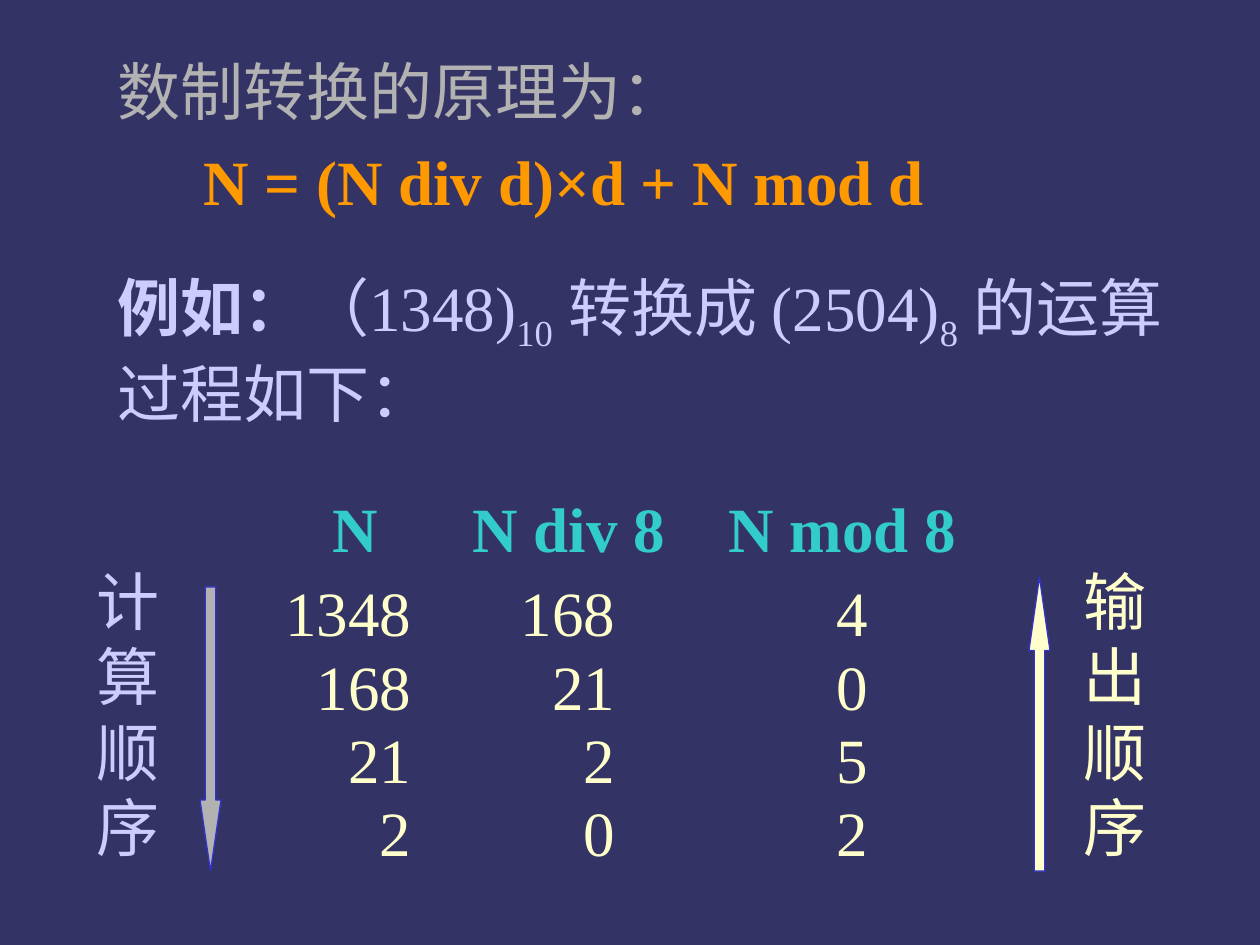
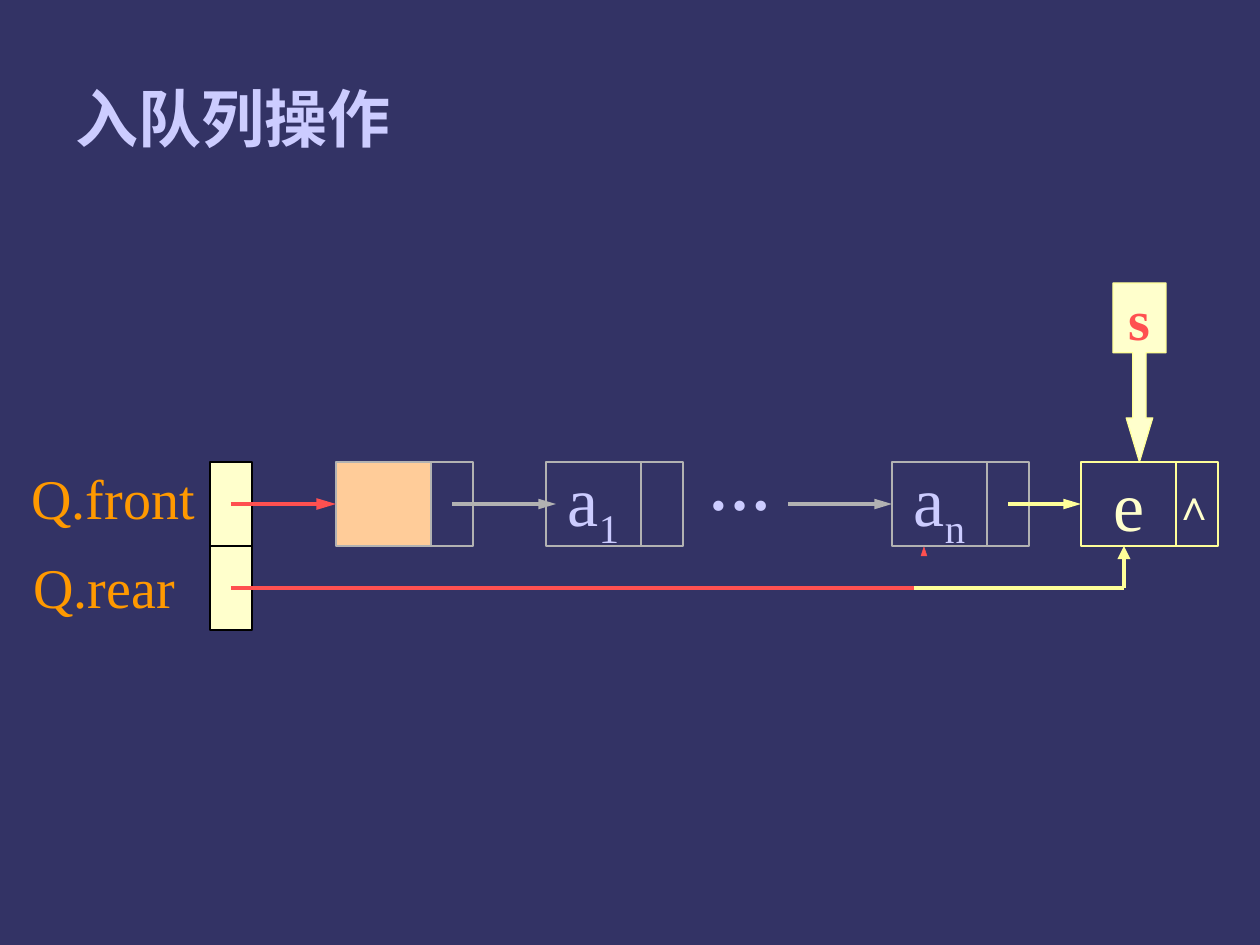
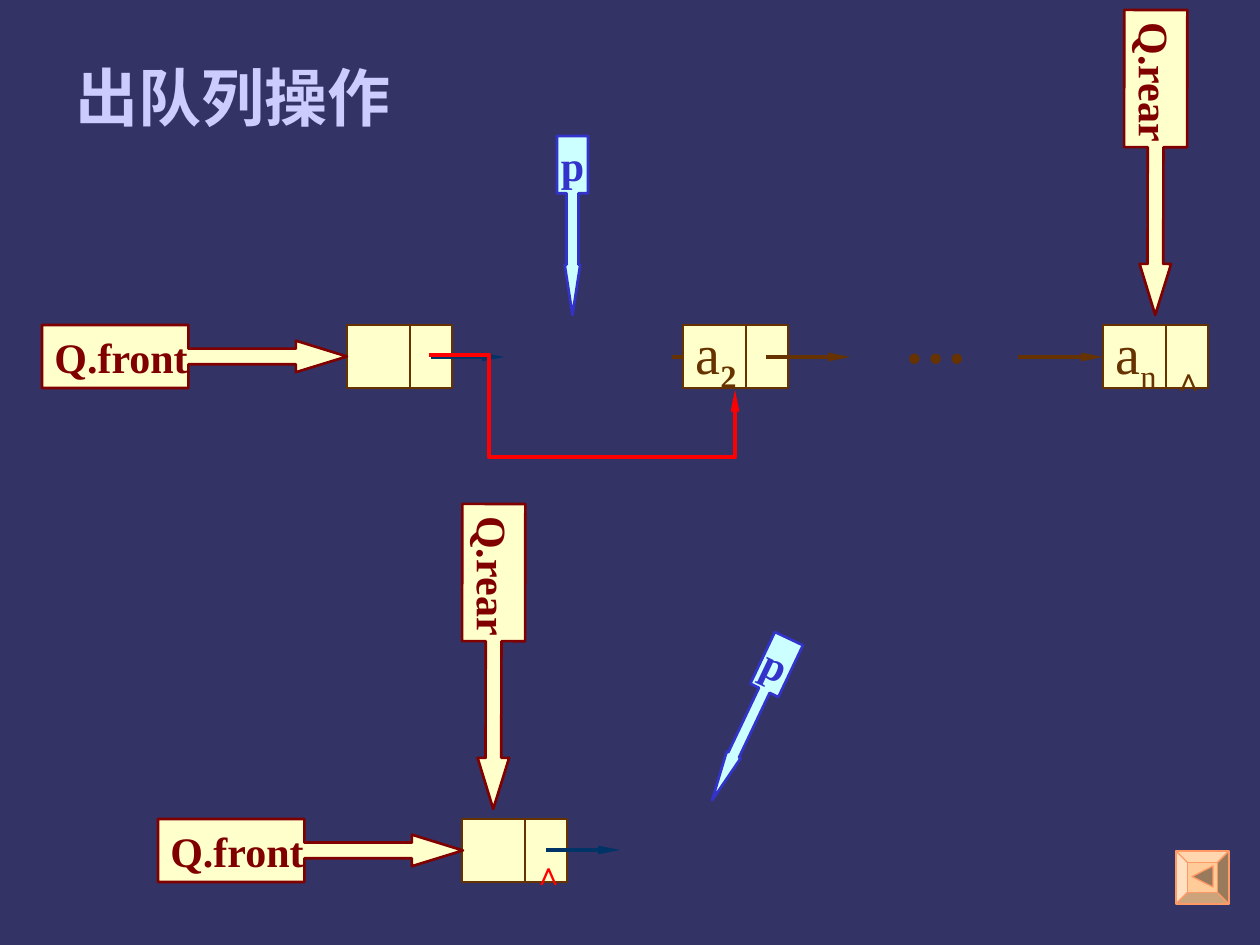
from lxml import etree
from pptx import Presentation
from pptx import util as u
from pptx.dml.color import RGBColor
from pptx.enum import shapes, text
from pptx.oxml.ns import qn

PX = u.Inches(1) / 126
FONT = "Times New Roman"
NIGHT, LILAC, CREAM, GRAY = "333365", "CCCCFF", "FFFFCC", "B2B2B2"
ORANGE, TEAL, CORAL, LEMON, PEACH = "FF9900", "33CCCC", "FF5050", "FFFF99", "FFCC99"
BROWN, WINE, BLUE, ICE, NAVY, RED = "663300", "800000", "3333CC", "CCFFFF", "003366", "FF0000"
BLACK, RUST, TAN = "000000", "FF9966", "997A5C"
hue = RGBColor.from_string
kind = shapes.MSO_SHAPE
LEFT, MID = text.PP_ALIGN.LEFT, text.PP_ALIGN.CENTER


def put(page, box, words="", size=36, ink=LILAC, bold=False, wrap=True, align=LEFT,
        form=None, fill=None, edge=None, wide=0.75, adj=(), turn=0, tabs=()):
    """Add a text box, or a shape if form is given; "_" switches subscript on and off."""
    area = [round(v * PX) for v in box]
    if form is None:
        item = page.shapes.add_textbox(*area)
    else:
        item = page.shapes.add_shape(form, *area)
        item.shadow.inherit = False
        for i, part in enumerate(adj):
            item.adjustments[i] = part
        item.rotation = turn
        if fill:
            item.fill.solid()
            item.fill.fore_color.rgb = hue(fill)
        else:
            item.fill.background()
        item.line.color.rgb = hue(edge)
        item.line.width = u.Pt(wide)
    if words:
        frame = item.text_frame
        frame.word_wrap = wrap
        para = frame.paragraphs[0]
        para.alignment = align
        if tabs:
            stops = etree.SubElement(para._p.get_or_add_pPr(), qn("a:tabLst"))
            for spot, side in tabs:
                etree.SubElement(stops, qn("a:tab"), pos=str(round(spot * PX)), algn=side)
        para.font.name, para.font.size, para.font.bold = FONT, u.Pt(size), bold
        para.font.color.rgb = hue(ink)
        for i, part in enumerate(words.split("_")):
            run = para.add_run()
            run.text = part
            if i % 2:
                run._r.get_or_add_rPr().set("baseline", "-25000")
    return item


def link(page, spots, ink, wide, head=None):
    """Draw a line through the spots; head is the (width, length) of its arrowhead."""
    spots = [(round(x * PX), round(y * PX)) for x, y in spots]
    if len(spots) == 2:
        item = page.shapes.add_connector(shapes.MSO_CONNECTOR.STRAIGHT, *spots[0], *spots[1])
    else:
        path = page.shapes.build_freeform(*spots[0], scale=1)
        path.add_line_segments(spots[1:], close=False)
        item = path.convert_to_shape()
        item.fill.background()
    item.line.color.rgb = hue(ink)
    item.line.width = u.Pt(wide)
    if head:
        etree.SubElement(item.line._get_or_add_ln(), qn("a:tailEnd"),
                         type="triangle", w=head[0], len=head[1])
    etree.SubElement(item._element.spPr, qn("a:effectLst"))


deck = Presentation()
deck.slide_width, deck.slide_height = round(1260 * PX), round(945 * PX)
pages = [deck.slides.add_slide(deck.slide_layouts[6]) for _ in range(3)]
for page in pages:
    page.background.fill.solid()
    page.background.fill.fore_color.rgb = hue(NIGHT)
base, push, pop = pages

# Slide 1: rule and example
rule = put(base, (105, 31, 987, 194), "数制转换的原理为：", ink=GRAY).text_frame
rule.paragraphs[0].line_spacing = 1.2
para = rule.add_paragraph()
para.line_spacing = 1.2
para._p.get_or_add_pPr().set("marL", str(round(86 * PX)))
para.text = "N = (N div d)×d + N mod d"
para.font.name, para.font.size, para.font.bold = FONT, u.Pt(36), True
para.font.color.rgb = hue(ORANGE)
case = put(base, (105, 262, 1092, 175),
           "例如：__（1348)_10_ 转换成 (2504)_8_ 的运算过程如下：")
case.text_frame.paragraphs[0].runs[0].font.bold = True

# Slide 1: columns of the calculation
put(base, (273, 483, 777, 88), "\tN\tN div 8\tN mod 8", ink=TEAL, bold=True,
    tabs=[(47, "l"), (187, "l"), (443, "l")])
nums = [1348, 168, 21, 2]
for i, num in enumerate(nums):
    put(base, (273, 567 + round(73.5 * i), 725, 88), f"\t{num}\t{num // 8}\t{num % 8}",
        ink=CREAM, tabs=[(126, "r"), (330, "r"), (583, "r")])

# Slide 1: order arrows
put(base, (200, 587, 21, 284), form=kind.DOWN_ARROW, fill=GRAY, edge=BLUE, adj=(0.5, 3.38))
put(base, (1029, 577, 21, 294), form=kind.UP_ARROW, fill=CREAM, edge=BLUE, adj=(0.5, 3.5))
put(base, (84, 556, 84, 315), "计算顺序")
put(base, (1071, 556, 84, 315), "输出顺序", ink=CREAM)

# Titles of the queue slides
put(push, (63, 73, 357, 88), "入队列操作", bold=True)
put(pop, (63, 52, 357, 88), "出队列操作", bold=True)

# Slide 2: queue pointers
for y in (462, 546):
    put(push, (210, y, 42, 84), form=kind.RECTANGLE, fill=CREAM, edge=BLACK)
front = put(push, (19, 451, 195, 87), "Q.front", 32, ORANGE)
front.text_frame.paragraphs[0].line_spacing = 1.1
put(push, (21, 546, 187, 81), "Q.rear", 32, ORANGE)

# Slide 2: nodes, each a data cell and a link cell
for x, word, ink, fill, edge, wide in [
        (336, "", LILAC, PEACH, GRAY, 0.75), (546, "a_1", LILAC, None, GRAY, 0.75),
        (892, "a_n", LILAC, None, GRAY, 0.75), (1081, "e", CREAM, None, LEMON, 1.5)]:
    put(push, (x + 95, 462, 42, 84), form=kind.RECTANGLE, edge=edge, wide=wide)
    put(push, (x, 462, 95, 84), word, 40, ink, wrap=False, align=MID,
        form=kind.RECTANGLE, fill=fill, edge=edge, wide=wide)
put(push, (1161, 472, 67, 63), "∧", 24, CREAM, bold=True, wrap=False)
put(push, (696, 441, 92, 88), "…", bold=True)
put(push, (1113, 283, 53, 179), "s", 32, CORAL, bold=True, wrap=False, align=MID,
    form=kind.DOWN_ARROW_CALLOUT, fill=CREAM, edge=LEMON, adj=(0.25, 0.25, 0.83, 0.39))

# Slide 2: links
for start, end, ink, wide in [(231, 336, CORAL, 2.25), (452, 556, GRAY, 2),
                              (788, 892, GRAY, 2), (1008, 1081, LEMON, 2)]:
    link(push, [(start, 504), (end, 504)], ink, wide, ("med", "lg"))
link(push, [(231, 588), (914, 588)], CORAL, 2.25)
link(push, [(914, 588), (1124, 588)], LEMON, 2.5)
link(push, [(1124, 588), (1124, 546)], LEMON, 2.5, ("med", "med"))
put(push, (921, 547, 6, 9), form=kind.ISOSCELES_TRIANGLE, fill=CORAL, edge=CORAL, wide=0.25)

# Slide 3: nodes
for x, y, word in [(347, 325, ""), (683, 325, "a_2"), (1103, 325, "a_n"), (462, 819, "")]:
    node = put(pop, (x, y, 105, 63), word, 32, BROWN, wrap=False,
               form=kind.RECTANGLE, fill=CREAM, edge=BROWN, wide=1.5)
    link(pop, [(x + 63, y), (x + 63, y + 63)], BROWN, 1)
    if word == "a_2":
        node.text_frame.paragraphs[0].runs[1].font.bold = True
put(pop, (892, 294, 95, 88), "…", ink=BROWN, bold=True)
for x, y, ink in [(1160, 315, BROWN), (520, 809, RED)]:
    put(pop, (x, y, 52, 89), "_∧", 32, ink, bold=True, wrap=False)

# Slide 3: links
slim = ("sm", "lg")
for start, end, y, ink in [(766, 850, 357, BROWN), (1018, 1103, 357, BROWN),
                           (431, 504, 357, NAVY), (546, 620, 850, NAVY)]:
    link(pop, [(start, y), (end, y)], ink, 2.5, slim)
link(pop, [(672, 357), (682, 357)], BROWN, 2.5)
link(pop, [(429, 355), (489, 355), (489, 457), (735, 457), (735, 390)], RED, 2.5, slim)

# Slide 3: pointers
for x, y, word, turn, neck in [
        (42, 325, "Q.front", 0, 0.48), (1003, 131, "Q.rear", 90.1, 0.45),
        (158, 819, "Q.front", 0, 0.48), (341, 625, "Q.rear", 90.1, 0.45)]:
    put(pop, (x, y, 305, 63), word, 24, WINE, bold=True, wrap=False,
        form=kind.RIGHT_ARROW_CALLOUT, fill=CREAM, edge=WINE, wide=1.5,
        adj=(0.25, 0.25, 0.81, neck), turn=turn)
for x, y, turn in [(557, 136, 0), (735, 630, 25.4)]:
    put(pop, (x, y, 31, 179), "p", 24, BLUE, bold=True, wrap=False, align=MID,
        form=kind.DOWN_ARROW_CALLOUT, fill=ICE, edge=BLUE, wide=1.5,
        adj=(0.38, 0.25, 1.62, 0.32), turn=turn)

# Slide 3: back button
put(pop, (1176, 851, 53, 53), form=kind.BEVEL, fill=PEACH, edge=RUST, adj=(0.22,))
put(pop, (1192, 866, 21, 21), form=kind.ISOSCELES_TRIANGLE, fill=TAN, edge=RUST, turn=270)

deck.save("out.pptx")
